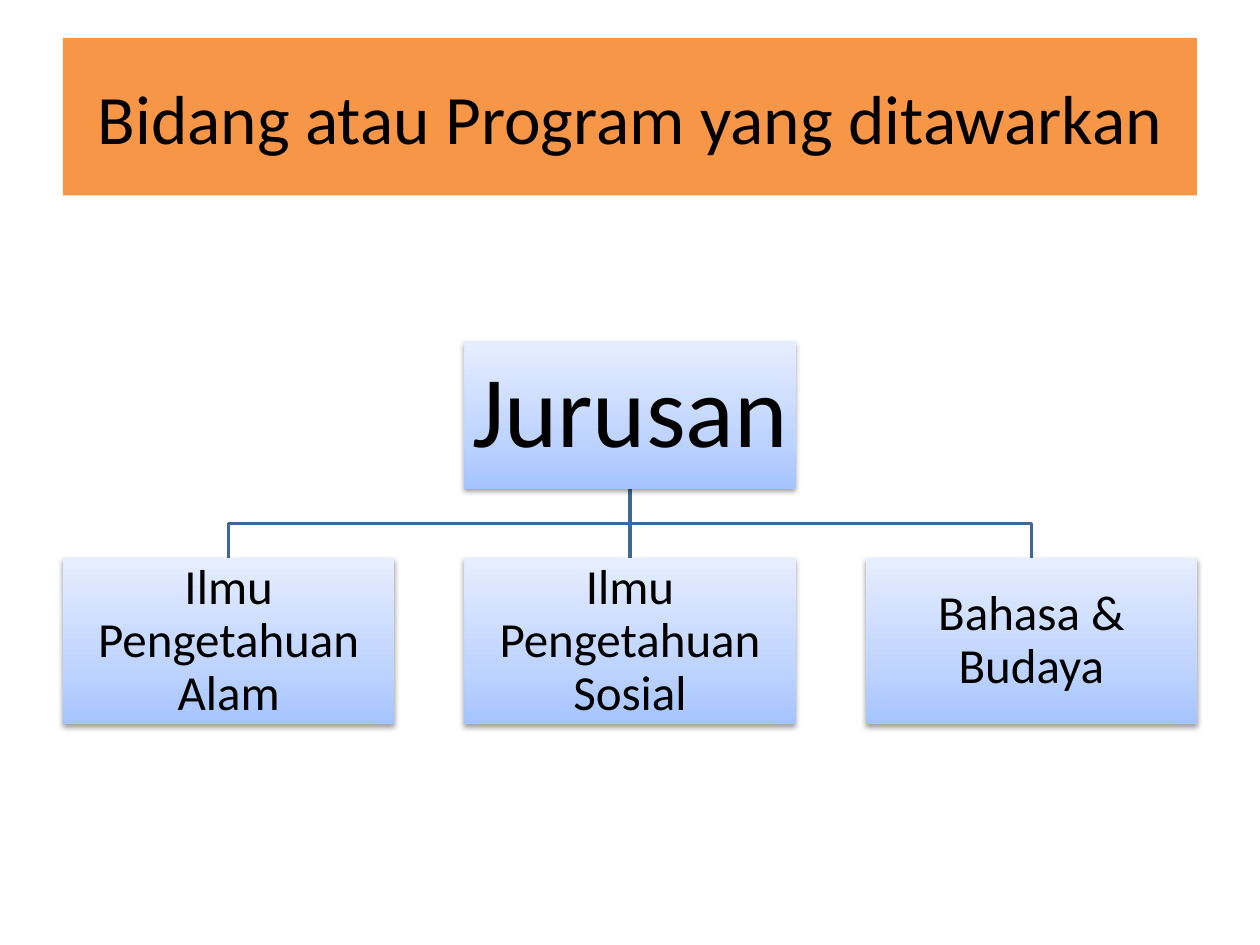
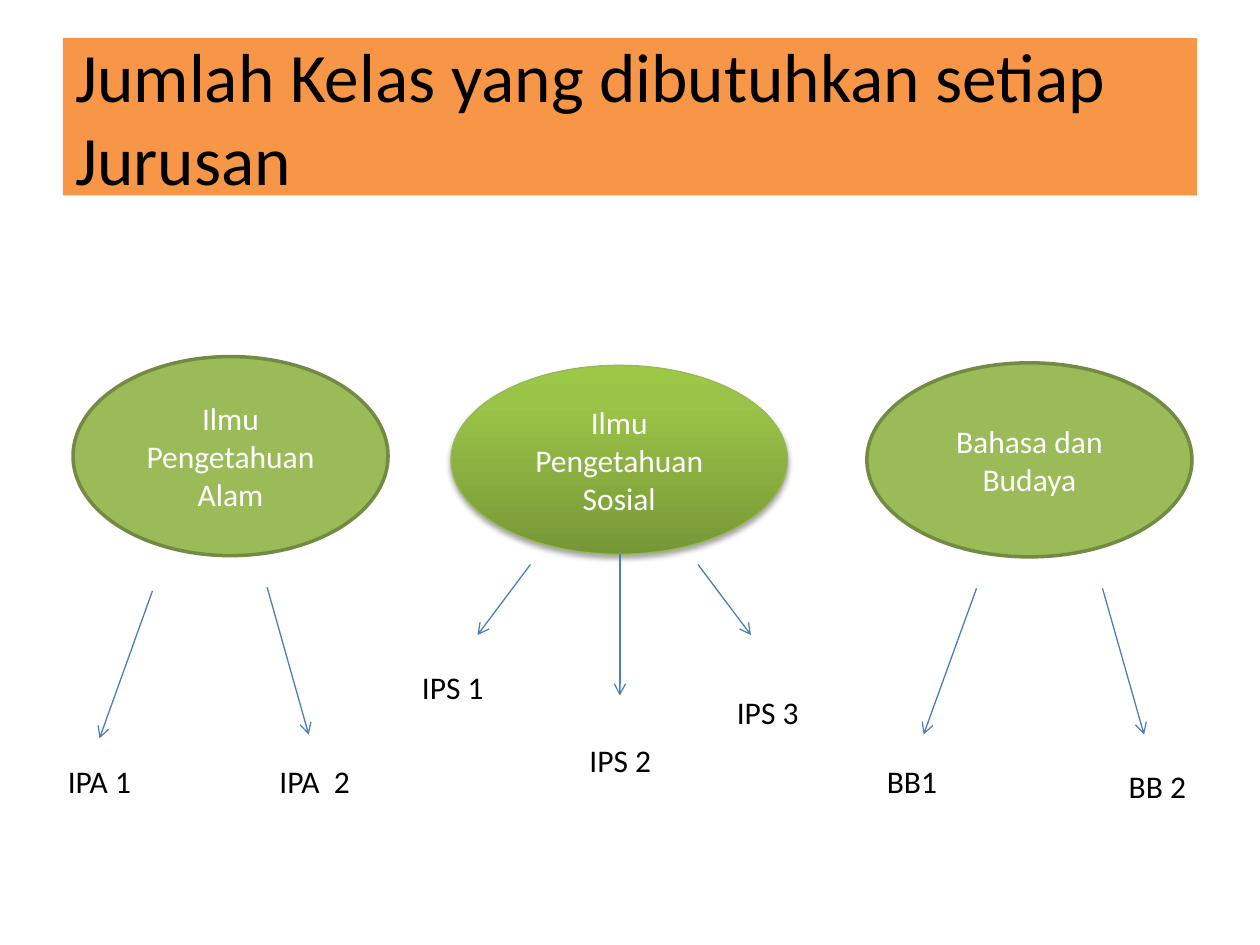
from copy import deepcopy
from dataclasses import dataclass

from lxml import etree
from pptx import Presentation
from pptx.dml.color import RGBColor
from pptx.enum import shapes, text
from pptx.oxml import ns
from pptx.util import Inches, Pt


@dataclass(frozen=True)
class Theme:
    font: str = "Calibri"
    black: str = "000000"
    white: str = "FFFFFF"
    title_fill: str = "F79646"
    tree_line: str = "3F6797"
    arrow: str = "4B7EBC"
    green: str = "9BBB59"
    green_edge: str = "738A42"
    green_soft_edge: str = "98B955"
    blue_gradient: tuple = ((0, "A4C4FF"), (35, "BFD4FF"), (100, "E6EEFF"))
    green_gradient: tuple = ((0, "779737"), (80, "9BC348"), (100, "9DC746"))
    title_size: float = 39.6
    root_size: float = 58
    branch_size: float = 28
    body_size: float = 18
    thick: float = 2
    thin: float = 0.75


THEME = Theme()
CENTER, LEFT = text.PP_ALIGN.CENTER, text.PP_ALIGN.LEFT


# Shared helpers
def write(shape, words, size, color=THEME.black, align=CENTER, inset=None, spacing=None):
    frame = shape.text_frame
    frame.text = words
    frame.word_wrap = True
    if inset is not None:
        frame.margin_left = frame.margin_right = Inches(inset)
        frame.margin_top = frame.margin_bottom = Inches(inset)
    for paragraph in frame.paragraphs:
        paragraph.alignment = align
        paragraph.line_spacing = spacing
        for run in paragraph.runs:
            run.font.name = THEME.font
            run.font.size = Pt(size)
            run.font.color.rgb = RGBColor.from_string(color)


def set_line(shape, color, width):
    shape.line.color.rgb = RGBColor.from_string(color)
    shape.line.width = Pt(width)


def add_box(slide, kind, box, fill, edge=None, width=THEME.thin):
    shape = slide.shapes.add_shape(kind, *map(Inches, box))
    shape.shadow.inherit = False
    shape.text_frame.vertical_anchor = text.MSO_ANCHOR.MIDDLE
    if isinstance(fill, str):
        shape.fill.solid()
        shape.fill.fore_color.rgb = RGBColor.from_string(fill)
    else:
        set_gradient(shape, fill)
    if edge:
        set_line(shape, edge, width)
    else:
        shape.line.fill.background()
    return shape


def set_gradient(shape, stops):
    """Fill upwards through the given (percent, colour) stops."""
    shape.fill.gradient()
    shape.fill.gradient_angle = 90
    stop_list = shape.element.spPr.find(ns.qn("a:gradFill")).find(ns.qn("a:gsLst"))
    for stop in list(stop_list):
        stop_list.remove(stop)
    for percent, color in stops:
        stop = etree.SubElement(stop_list, ns.qn("a:gs"), pos=str(percent * 1000))
        etree.SubElement(stop, ns.qn("a:srgbClr"), val=color)


def add_shadow(shape, opacity, distance):
    effects = shape.element.spPr.find(ns.qn("a:effectLst"))
    shadow = etree.SubElement(
        effects, ns.qn("a:outerShdw"), blurRad=str(Pt(3.1)), dist=str(Pt(distance)),
        dir="5400000", rotWithShape="0")
    color = etree.SubElement(shadow, ns.qn("a:srgbClr"), val=THEME.black)
    etree.SubElement(color, ns.qn("a:alpha"), val=str(opacity * 1000))


def add_line(slide, start, end, color, width, arrow=False):
    connector = slide.shapes.add_connector(
        shapes.MSO_CONNECTOR.STRAIGHT, *map(Inches, (*start, *end)))
    set_line(connector, color, width)
    properties = connector.element.spPr
    if arrow:
        etree.SubElement(properties.find(ns.qn("a:ln")), ns.qn("a:tailEnd"), type="arrow")
    etree.SubElement(properties, ns.qn("a:effectLst"))


def add_title(slide, words, align):
    band = add_box(slide, shapes.MSO_SHAPE.RECTANGLE, (0.5, 0.3, 9, 1.25), THEME.title_fill)
    write(band, words, THEME.title_size, align=align)


# Organisation chart: one root above equally spaced branches
def add_elbow(slide, start, end):
    middle = (start[1] + end[1]) / 2
    points = [start, (start[0], middle), (end[0], middle), end]
    points = [(Inches(x), Inches(y)) for x, y in points]
    builder = slide.shapes.build_freeform(*points[0], scale=1.0)
    builder.add_line_segments(points[1:], close=False)
    elbow = builder.convert_to_shape()
    elbow.shadow.inherit = False
    elbow.fill.background()
    set_line(elbow, THEME.tree_line, THEME.thick)


def add_tree(slide, box, root, branches):
    left, top, width, height = box
    node_width, root_height, branch_height = 2.63, 1.17, 1.32
    step = (width - node_width) / (len(branches) - 1)
    center = left + width / 2
    branch_top = top + height - branch_height
    start = (center, top + root_height)

    for index in range(len(branches)):
        end = (left + index * step + node_width / 2, branch_top)
        if abs(end[0] - center) < 0.01:
            add_line(slide, start, end, THEME.tree_line, THEME.thick)
        else:
            add_elbow(slide, start, end)

    nodes = [(root, center - node_width / 2, top, root_height, THEME.root_size, 0.04)]
    nodes += [(name, left + index * step, branch_top, branch_height, THEME.branch_size, 0.02)
              for index, name in enumerate(branches)]
    for name, x, y, node_height, size, inset in nodes:
        node = add_box(slide, shapes.MSO_SHAPE.RECTANGLE,
                       (x, y, node_width, node_height), THEME.blue_gradient)
        add_shadow(node, 38, 1.6)
        write(node, name, size, inset=inset, spacing=0.9)


# Class group: an oval with arrows to its class labels, offset from the oval's corner
def add_group(slide, box, name, arrows, labels, raised=False):
    left, top = box[:2]
    if raised:
        oval = add_box(slide, shapes.MSO_SHAPE.OVAL, box,
                       THEME.green_gradient, THEME.green_soft_edge)
        add_shadow(oval, 35, 1.8)
    else:
        oval = add_box(slide, shapes.MSO_SHAPE.OVAL, box,
                       THEME.green, THEME.green_edge, THEME.thick)
    write(oval, name, THEME.body_size, THEME.white)
    for x1, y1, x2, y2 in arrows:
        add_line(slide, (left + x1, top + y1), (left + x2, top + y2),
                 THEME.arrow, THEME.thin, arrow=True)
    for words, x, y, width in labels:
        label = slide.shapes.add_textbox(
            *map(Inches, (left + x, top + y, width, 0.4)))
        write(label, words, THEME.body_size, align=LEFT)


def build_programs(slide):
    add_title(slide, "Bidang atau Program yang ditawarkan", CENTER)
    add_tree(slide, (0.5, 2.71, 9, 3.04), "Jurusan ",
             ["Ilmu Pengetahuan Alam", "Ilmu Pengetahuan Sosial", "Bahasa & Budaya"])


def build_classes(slide):
    add_title(slide, "Jumlah Kelas yang dibutuhkan setiap Jurusan", LEFT)
    add_group(slide, (0.58, 2.83, 2.5, 1.58), "Ilmu Pengetahuan Alam",
              [(0.63, 1.86, 0.21, 3.03), (1.54, 1.83, 1.87, 3)],
              [("IPA 1", -0.14, 3.17, 0.92), ("IPA  2", 1.54, 3.17, 0.77)])
    add_group(slide, (3.58, 2.9, 2.67, 1.5), "Ilmu Pengetahuan Sosial",
              [(1.34, 1.5, 1.34, 2.62), (1.96, 1.58, 2.38, 2.14), (0.63, 1.58, 0.21, 2.14)],
              [("IPS 1", -0.33, 2.35, 0.75), ("IPS 2", 1, 2.93, 0.75),
               ("IPS 3", 2.17, 2.55, 0.83)], raised=True)
    add_group(slide, (6.88, 2.88, 2.58, 1.54), "Bahasa dan Budaya",
              [(0.87, 1.79, 0.45, 2.95), (1.87, 1.79, 2.2, 2.95)],
              [("BB1", 0.06, 3.12, 0.62), ("BB 2", 1.98, 3.16, 0.67)])


presentation = Presentation()
presentation.slide_width, presentation.slide_height = Inches(10), Inches(7.5)
for build in (build_programs, build_classes):
    build(presentation.slides.add_slide(presentation.slide_layouts[6]))
presentation.save("out.pptx")
